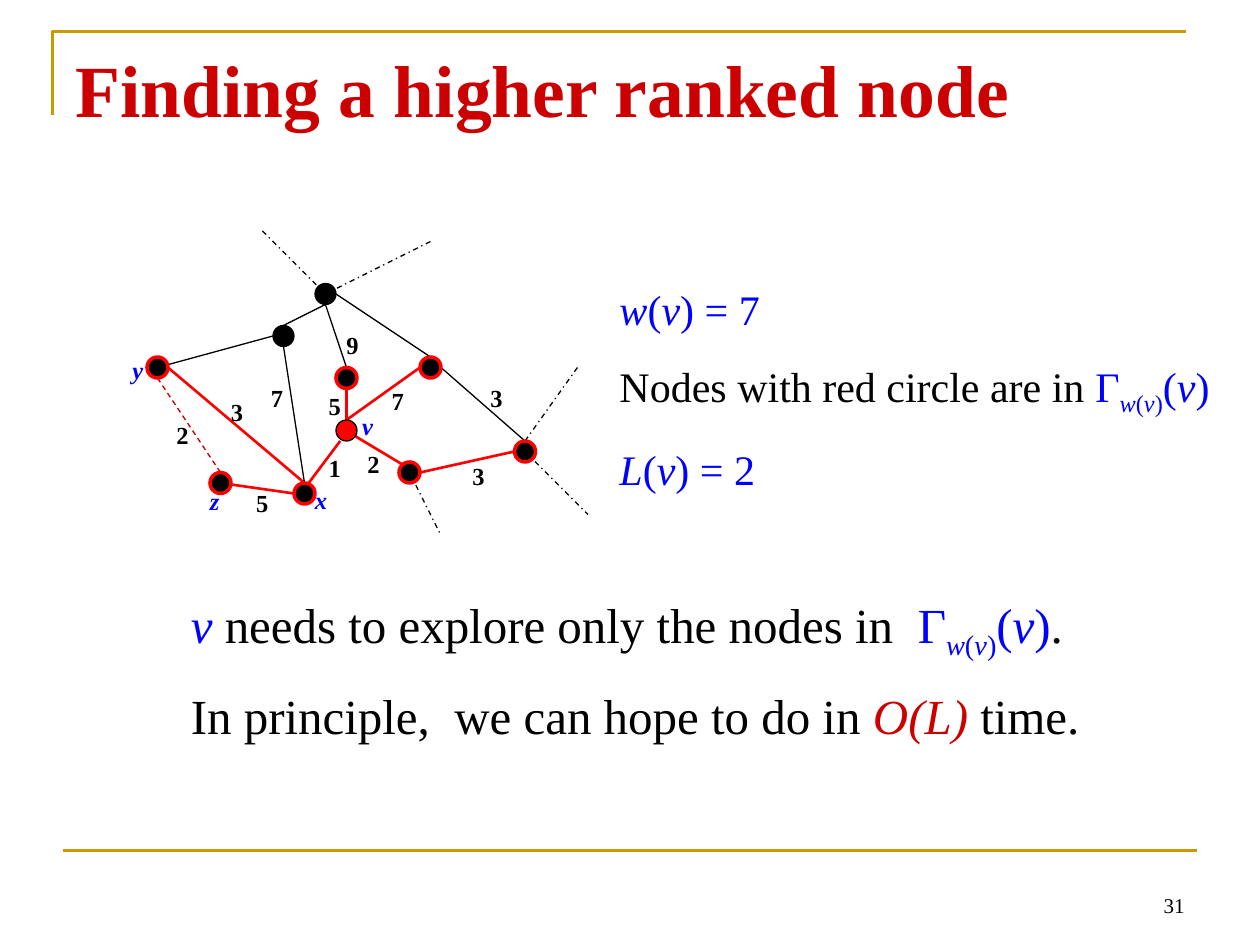
import pptx
import pptx.util
import pptx.dml.color
import pptx.enum.dml
import pptx.enum.shapes
import pptx.enum.text
import lxml.etree

COLORS = {"gold": "CC9900", "crimson": "CC0000", "red": "FF0000", "blue": "0000FF", "black": "000000"}
DASH = pptx.enum.dml.MSO_LINE.DASH
DASH_DOT = pptx.enum.dml.MSO_LINE.DASH_DOT
ALIGN = pptx.enum.text.PP_ALIGN
ANCHOR = pptx.enum.text.MSO_ANCHOR
COLUMNS, ROWS = 120, 90

deck = pptx.Presentation()
deck.slide_width, deck.slide_height = pptx.util.Inches(10), pptx.util.Inches(7.5)
slide = deck.slides.add_slide(deck.slide_layouts[6])
unit = deck.slide_width / COLUMNS
rgb = {name: pptx.dml.color.RGBColor.from_string(value) for name, value in COLORS.items()}


def add_line(start, end, color, width, dash=None):
    line = slide.shapes.add_connector(
        pptx.enum.shapes.MSO_CONNECTOR.STRAIGHT, *[round(n * unit) for n in (*start, *end)])
    line.line.color.rgb = rgb[color]
    line.line.width = pptx.util.Pt(width)
    if dash:
        line.line.dash_style = dash
    effects = pptx.oxml.ns.qn("a:effectLst")
    lxml.etree.SubElement(line._element.spPr, effects)


def add_text(box, paragraphs, size, bold=None, inset=(0, 0), wrap=True,
             before=0, spacing=None, align=ALIGN.LEFT, anchor=ANCHOR.TOP):
    frame = slide.shapes.add_textbox(*[round(n * unit) for n in box]).text_frame
    frame.word_wrap = wrap
    frame.vertical_anchor = anchor
    frame.margin_left = frame.margin_right = pptx.util.Inches(inset[0])
    frame.margin_top = frame.margin_bottom = pptx.util.Inches(inset[1])
    for index, runs in enumerate(paragraphs):
        paragraph = frame.paragraphs[0] if index == 0 else frame.add_paragraph()
        paragraph.alignment = align
        if index:
            paragraph.space_before = pptx.util.Pt(before)
            paragraph.line_spacing = spacing
        paragraph.font.name = "Times New Roman"
        paragraph.font.size = pptx.util.Pt(size)
        paragraph.font.bold = bold
        for words, color, *styles in runs:
            run = paragraph.add_run()
            run.text = words
            run.font.color.rgb = rgb[color]
            if "italic" in styles:
                run.font.italic = True
            if "sub" in styles:
                run._r.get_or_add_rPr().set("baseline", "-25000")


corner = slide.shapes.build_freeform(round(5 * unit), round(11 * unit))
corner.add_line_segments([(round(x * unit), round(y * unit)) for x, y in [(5, 3), (113, 3)]], close=False)
frame_rule = corner.convert_to_shape()
frame_rule.shadow.inherit = False
frame_rule.fill.background()
frame_rule.line.color.rgb = rgb["gold"]
frame_rule.line.width = pptx.util.Pt(1.5)
add_line((6, 81), (114, 81), "gold", 1.5)

padding = (0.1, 0.05)
add_text((6, 3.6, 108, 15), [[("Finding a higher ranked node", "crimson")]], 42, bold=True, inset=padding)

red_edges = [
    ((33.6, 41.4), (38.6, 44.4)), ((33, 40), (40, 35)), ((33, 37), (33, 40)), ((32.4, 42), (29.4, 46)),
    ((40, 45), (49, 43)), ((16, 35), (29, 46)), ((28, 47), (21, 46)),
]
black_edges = [
    ((42, 35), (50, 42)), ((33, 35), (31, 29)), ((31, 29), (27, 31)), ((32, 28), (41, 34)),
    ((15, 35), (26, 32)), ((27, 33), (29, 46)),
]
outgoing_edges = [
    ((39, 45), (42, 51)), ((50, 42), (55, 35)), ((50, 43), (56, 49)), ((41, 23), (31, 28)), ((25, 22), (31, 28)),
]
for edges, color, width, dash in [
    (red_edges, "red", 1.5, None),
    (black_edges, "black", 0.75, None),
    ([((15, 36), (21, 45))], "crimson", 0.75, DASH),
    (outgoing_edges, "black", 0.75, DASH_DOT),
]:
    for start, end in edges:
        add_line(start, end, color, width, dash)

ringed_nodes = [(50, 43), (41, 35), (39, 45), (29, 47), (33, 36), (15, 35), (21, 46)]
for centers, fill, ring, width in [
    ([(33, 41)], "red", "black", 0.75),
    (ringed_nodes, "black", "red", 2),
    ([(27, 32), (31, 28)], "black", "black", 0.75),
]:
    for x, y in centers:
        node = slide.shapes.add_shape(
            pptx.enum.shapes.MSO_SHAPE.OVAL, *[round(n * unit) for n in (x - 1, y - 1, 2, 2)])
        node.shadow.inherit = False
        node.fill.solid()
        node.fill.fore_color.rgb = rgb[fill]
        node.line.color.rgb = rgb[ring]
        node.line.width = pptx.util.Pt(width)

weights = [
    ("7", 37.3, 36.8), ("5", 31.3, 37.2), ("3", 46.7, 36.5), ("7", 25.8, 36.5), ("3", 22, 37.8), ("2", 16.8, 40),
    ("5", 24.4, 46.5), ("3", 45, 43.9), ("1", 31.3, 43.1), ("2", 35, 42.8), ("9", 33, 31.4),
]
node_names = [("v", 34.5, 39.1), ("x", 30, 46.2), ("z", 20, 46.3), ("y", 12.6, 33.8)]
for labels, style in [(weights, ["black"]), (node_names, ["blue", "italic"])]:
    for label, x, y in labels:
        add_text((x, y, 1, 2.8), [[(label, *style)]], 14, bold=True, wrap=False)

neighbourhood = [
    ("Γ", "blue"), ("w", "blue", "italic", "sub"), ("(", "blue", "sub"), ("v", "blue", "italic", "sub"),
    (")", "blue", "sub"), ("(", "blue"), ("v", "blue", "italic"), (")", "blue"),
]
rank, level = [
    [(symbol, "blue", "italic"), ("(", "blue"), ("v", "blue", "italic"), (f") = {value}", "blue")]
    for symbol, value in [("w", 7), ("L", 2)]
]
add_text((59, 27, 58, 27.4), [rank, [("Nodes with red circle are in ", "black"), *neighbourhood], level],
         24, before=15)

explore = [("v", "blue", "italic"), (" needs to explore only the nodes in  ", "black"),
           *neighbourhood, (".", "black")]
running_time = [("In principle,  we can hope to do in ", "black"), ("O(L)", "crimson", "italic"),
                (" time.", "black")]
add_text((17, 56, 89, 19), [explore, running_time], 28, inset=padding, before=7, spacing=1.2)

add_text((86, 82, 28, 6), [[("31", "black")]], 12, inset=padding, align=ALIGN.RIGHT, anchor=ANCHOR.BOTTOM)

deck.save("out.pptx")
